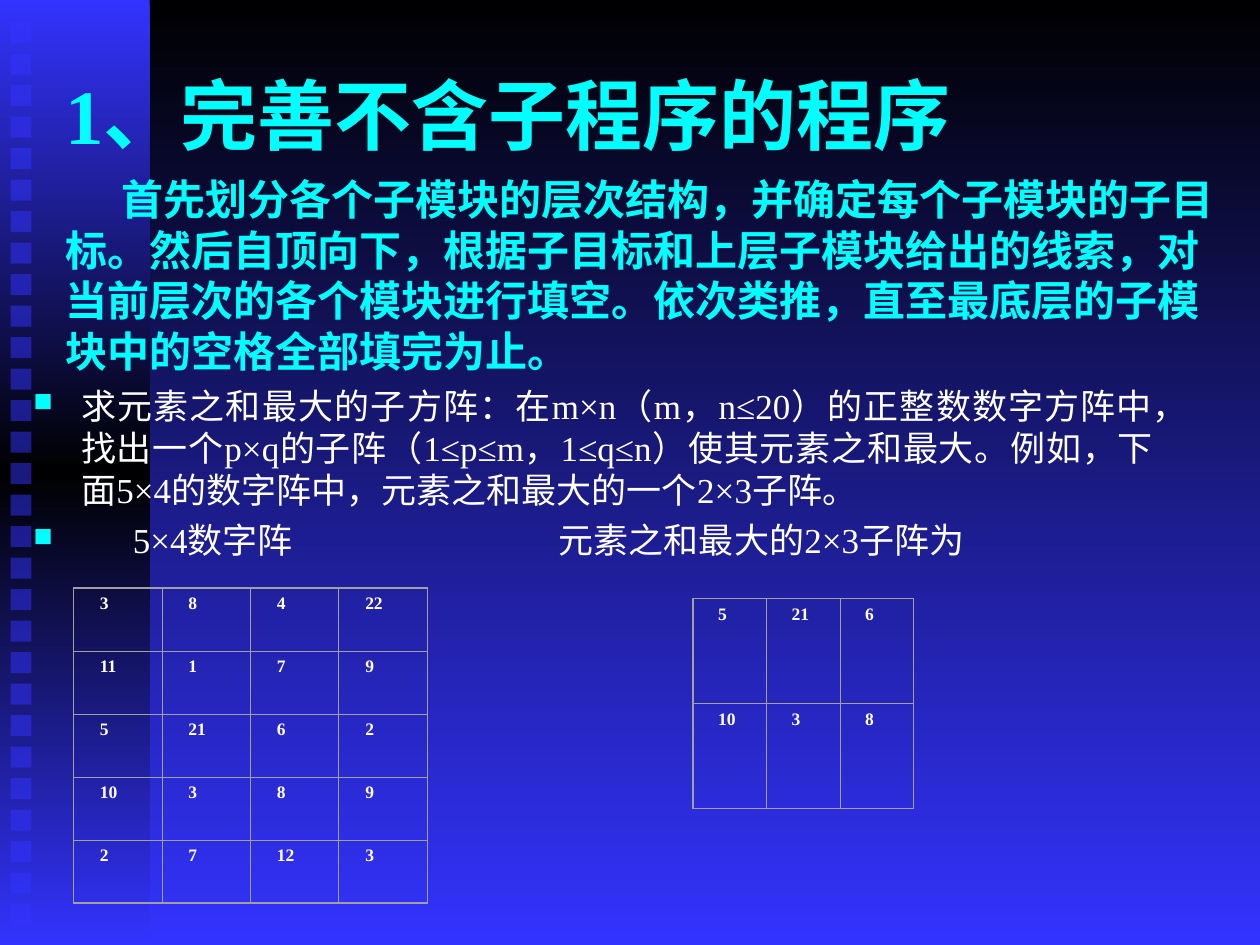
from copy import deepcopy
from lxml import etree
from pptx import Presentation, util as u
from pptx.dml.color import RGBColor
from pptx.enum import shapes, text
from pptx.oxml import ns

COLUMNS, ROWS = 120, 90


def rgb(code):
    return RGBColor.from_string(code)


def add_xml(parent, tag, **attributes):
    return etree.SubElement(parent, ns.qn(tag), attributes)


class Deck:
    font = "Times New Roman"
    blue, black, cyan, white, grey = "3333FF", "000000", "00FFFF", "FFFFFF", "A0A0A0"

    def __init__(self):
        self.prs = Presentation()
        self.prs.slide_width, self.prs.slide_height = u.Inches(10), u.Inches(7.5)
        self.slide = self.prs.slides.add_slide(self.prs.slide_layouts[5])

    def area(self, left, top, width, height):
        column = self.prs.slide_width / COLUMNS
        row = self.prs.slide_height / ROWS
        return [round(n) for n in (left * column, top * row, width * column, height * row)]

    def gradient(self, fill, owner, colors):
        fill.gradient()
        fill.gradient_angle = 270
        stop_list = next(owner.iter(ns.qn("a:gsLst")))
        for _ in colors[2:]:
            stop_list.append(deepcopy(stop_list[0]))
        for i, (stop, color) in enumerate(zip(fill.gradient_stops, colors)):
            stop.color.rgb = rgb(color)
            stop.position = i / (len(colors) - 1)

    def background(self, colors):
        self.gradient(self.slide.background.fill, self.slide.element, colors)

    def rectangle(self, *box):
        shape = self.slide.shapes.add_shape(shapes.MSO_SHAPE.RECTANGLE, *self.area(*box))
        shape.shadow.inherit = False
        shape.line.fill.background()
        return shape

    def band(self, colors, *box):
        shape = self.rectangle(*box)
        self.gradient(shape.fill, shape.element, colors)

    def square(self, left, top, size):
        shape = self.rectangle(left, top, size, size)
        shape.fill.solid()
        shape.fill.fore_color.rgb = rgb(self.blue)
        color = next(shape.element.spPr.iter(ns.qn("a:srgbClr")))
        add_xml(color, "a:alpha", val="50000")

    def style(self, paragraph, size, color, bold=False):
        for run in paragraph.runs:
            run.font.name = self.font
            run.font.size = u.Pt(size)
            run.font.bold = bold
            run.font.color.rgb = rgb(color)

    def title(self, heading, explanation, *box):
        title = self.slide.shapes.title
        self.slide.shapes.element.append(title.element)
        title.left, title.top, title.width, title.height = self.area(*box)
        frame = title.text_frame
        frame.text = heading
        frame.word_wrap = True
        frame.auto_size = text.MSO_AUTO_SIZE.NONE
        frame.vertical_anchor = text.MSO_ANCHOR.MIDDLE
        frame.margin_bottom = u.Inches(0.45)
        detail = frame.add_paragraph()
        detail.text = explanation
        detail.space_before = u.Pt(8)
        detail._p.get_or_add_pPr().set("indent", str(u.Inches(0.45)))
        for paragraph, size in zip(frame.paragraphs, (44, 24)):
            paragraph.alignment = text.PP_ALIGN.LEFT
            self.style(paragraph, size, self.cyan, True)

    def bullets(self, items, *box):
        frame = self.slide.shapes.add_textbox(*self.area(*box)).text_frame
        frame.word_wrap = True
        for i, (words, indent, tab) in enumerate(items):
            paragraph = frame.add_paragraph() if i else frame.paragraphs[0]
            paragraph.text = words
            paragraph.alignment = text.PP_ALIGN.JUSTIFY
            if i:
                paragraph.space_before = u.Pt(5)
            props = paragraph._p.get_or_add_pPr()
            props.set("marL", str(u.Inches(indent)))
            props.set("indent", str(-u.Inches(indent)))
            add_xml(add_xml(props, "a:buClr"), "a:srgbClr", val=self.cyan)
            add_xml(props, "a:buSzPct", val="75000")
            add_xml(props, "a:buChar", char="■")
            if tab:
                add_xml(add_xml(props, "a:tabLst"), "a:tab", pos=str(u.Inches(tab)), algn="l")
            self.style(paragraph, 20, self.white)

    def border(self, cell, side, width):
        line = add_xml(cell._tc.get_or_add_tcPr(), f"a:ln{side}", w=str(u.Pt(width)))
        add_xml(add_xml(line, "a:solidFill"), "a:srgbClr", val=self.grey)

    def matrix(self, values, inset, *box):
        last_row, last_column = len(values) - 1, len(values[0]) - 1
        area = self.area(*box)
        table = self.slide.shapes.add_table(last_row + 1, last_column + 1, *area).table
        table.first_row = table.horz_banding = False
        for r, row in enumerate(values):
            for c, value in enumerate(row):
                cell = table.cell(r, c)
                cell.text = str(value)
                cell.margin_left = u.Inches(inset)
                paragraph = cell.text_frame.paragraphs[0]
                paragraph.alignment = text.PP_ALIGN.JUSTIFY
                self.style(paragraph, 10, self.white, True)
                edges = {"L": c == 0, "R": c == last_column, "T": r == 0, "B": r == last_row}
                for side, outer in edges.items():
                    self.border(cell, side, 1 if outer else 0.5)
                cell.fill.background()


def main():
    deck = Deck()
    deck.background([deck.black, deck.blue])
    deck.band([deck.blue, deck.black, deck.blue], 0, 0, 14.25, ROWS)
    for i in range(29):
        deck.square(1, 2.1 + 3 * i, 2)
    deck.title(
        "1、完善不含子程序的程序",
        "首先划分各个子模块的层次结构，并确定每个子模块的子目标。然后自顶向下，"
        "根据子目标和上层子模块给出的线索，对当前层次的各个模块进行填空。"
        "依次类推，直至最底层的子模块中的空格全部填完为止。",
        5, 16, 112, 15)
    deck.bullets([
        ("求元素之和最大的子方阵：在m×n（m，n≤20）的正整数数字方阵中，"
         "找出一个p×q的子阵（1≤p≤m，1≤q≤n）使其元素之和最大。"
         "例如，下面5×4的数字阵中，元素之和最大的一个2×3子阵。", 0.38, None),
        ("5×4数字阵\t元素之和最大的2×3子阵为", 0.79, 4.17),
    ], 2, 36, 109, 54)
    numbers = [[3, 8, 4, 22], [11, 1, 7, 9], [5, 21, 6, 2], [10, 3, 8, 9], [2, 7, 12, 3]]
    largest = [row[:3] for row in numbers[2:4]]
    deck.matrix(numbers, 0.21, 7, 56, 33.7, 30)
    deck.matrix(largest, 0.2, 66, 57, 21, 20)
    deck.prs.save("out.pptx")


if __name__ == "__main__":
    main()
